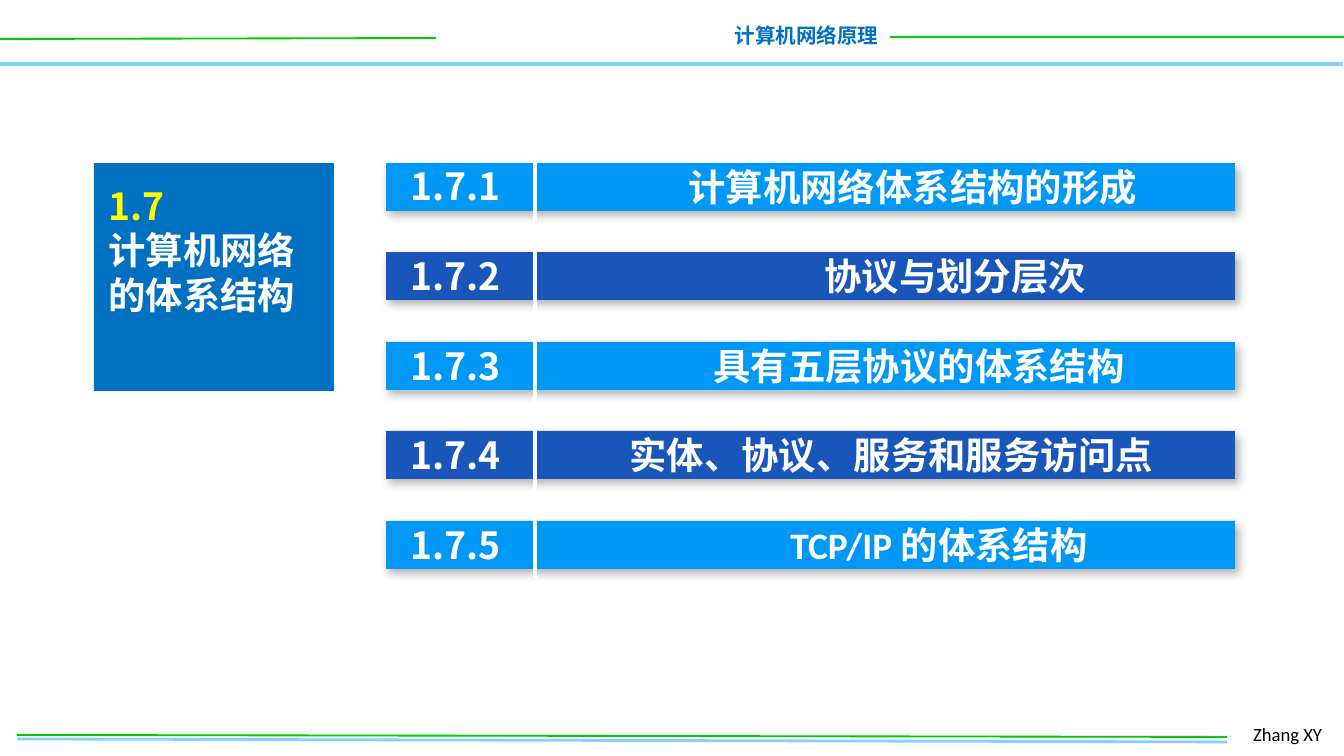
from pptx import Presentation
from pptx.dml.color import RGBColor
from pptx.enum.shapes import MSO_CONNECTOR, MSO_SHAPE
from pptx.enum.text import MSO_ANCHOR, MSO_AUTO_SIZE, PP_ALIGN
from pptx.oxml import parse_xml
from pptx.oxml.ns import nsdecls, qn
from pptx.util import Pt

SCALE = 914400 / 134.4  # EMU in one px


class Theme:
    sky, green, blue = "85D1F7", "00CC00", "0070C0"
    bars = ["0098F6", "1956B9"]
    white, black, yellow = "FFFFFF", "000000", "FFFF00"
    cjk, latin = "Noto Sans CJK SC", "Calibri"
    big, head, foot = 20, 11, 10


def px(*nums):
    return [round(n * SCALE) for n in nums]


def write(par, text, font, size, color, bold=True):
    par.line_spacing = Pt(size * 1.2)
    run = par.add_run()
    run.text = text
    run.font.name, run.font.size, run.font.bold = font, Pt(size), bold
    run.font.color.rgb = RGBColor.from_string(color)
    run.font._element.append(
        parse_xml(f'<a:ea {nsdecls("a")} typeface="{Theme.cjk}"/>'))


prs = Presentation()
prs.slide_width, prs.slide_height = px(1344, 756)
slide = prs.slides.add_slide(prs.slide_layouts[1])
shapes = slide.shapes
title, body = shapes.title, slide.placeholders[1]

# Header and footer rules, then the divider of the list
rules = [
    (-1, 64, 1343, 64, Theme.sky, 2),
    (0, 39, 436, 38, Theme.green, 1),
    (890, 37, 1345, 37, Theme.green, 1),
    (17, 739, 1227, 742, Theme.sky, 1.5),
    (17, 735, 1227, 737, Theme.green, 1),
    (535, 152, 535, 578, Theme.white, 2.25),
]
for *ends, color, width in rules:
    rule = shapes.add_connector(MSO_CONNECTOR.STRAIGHT, *px(*ends))
    rule.line.color.rgb = RGBColor.from_string(color)
    rule.line.width = Pt(width)
    rule._element.spPr.append(parse_xml(f'<a:effectLst {nsdecls("a")}/>'))
divider = rule

# Header and footer text
labels = [
    ((720, 16, 172, 39), "计算机网络原理", Theme.cjk, Theme.head, Theme.blue, True, PP_ALIGN.RIGHT),
    ((1240, 716, 100, 36), "Zhang XY", Theme.latin, Theme.foot, Theme.black, False, PP_ALIGN.LEFT),
]
for place, text, font, size, color, bold, align in labels:
    frame = shapes.add_textbox(*px(*place)).text_frame
    frame.word_wrap = False
    frame.paragraphs[0].alignment = align
    write(frame.paragraphs[0], text, font, size, color, bold)

# Five shadowed bars and the title panel
blocks = [(386, 163 + i * 179 // 2, 849, 48, Theme.bars[i % 2]) for i in range(5)]
blocks.append((94, 163, 240, 228, Theme.blue))
for *place, color in blocks:
    block = shapes.add_shape(MSO_SHAPE.RECTANGLE, *px(*place))
    block.shadow.inherit = False
    block.fill.solid()
    block.fill.fore_color.rgb = RGBColor.from_string(color)
    block.line.fill.background()
    if color in Theme.bars:
        block._element.spPr.find(qn("a:effectLst")).append(parse_xml(
            f'<a:outerShdw {nsdecls("a")} blurRad="57150" dist="33020" dir="3180000" '
            'algn="tl" rotWithShape="0"><a:srgbClr val="000000"><a:alpha val="30000"/>'
            '</a:srgbClr></a:outerShdw>'))

# Text boxes lie above the bars and the divider
marks = shapes.add_textbox(0, 0, 0, 0)
for holder, place in [
    (title, (95, 176, 239, 149)),
    (marks, (397, 157, 130, 421)),
    (body, (397, 157, 804, 421)),
]:
    holder.left, holder.top, holder.width, holder.height = px(*place)
    holder.text_frame.word_wrap = True
    holder.text_frame.auto_size = MSO_AUTO_SIZE.NONE
    holder.text_frame.vertical_anchor = MSO_ANCHOR.TOP
for part in (divider, title, marks, body):
    shapes._spTree.append(part._element)

# Title: number, then name
frame = title.text_frame
for par, text, color in [
    (frame.paragraphs[0], "1.7", Theme.yellow),
    (frame.add_paragraph(), "计算机网络的体系结构", Theme.white),
]:
    par.alignment = PP_ALIGN.LEFT
    par.space_before = Pt(0)
    write(par, text, Theme.cjk, Theme.big, color)

# List: numbers, and topics each with its own indent in px
topics = [
    (278, "计算机网络体系结构的形成"),
    (414, "协议与划分层次"),
    (303, "具有五层协议的体系结构"),
    (219, "实体、协议、服务和服务访问点"),
    (380, "TCP/IP 的体系结构"),
]
for i, (indent, topic) in enumerate(topics):
    for holder, left, text, font in [
        (marks, 0, f"1.7.{i + 1}", Theme.cjk),
        (body, indent, topic, Theme.latin),
    ]:
        frame = holder.text_frame
        par = frame.add_paragraph() if i else frame.paragraphs[0]
        props = par._p.get_or_add_pPr()
        props.set("marL", str(px(left)[0]))
        props.set("indent", "0")
        props.append(parse_xml(f'<a:buNone {nsdecls("a")}/>'))
        par.alignment = PP_ALIGN.LEFT
        par.space_before = Pt(24 if i else 0)
        write(par, text, font, Theme.big, Theme.white)

prs.save("out.pptx")
